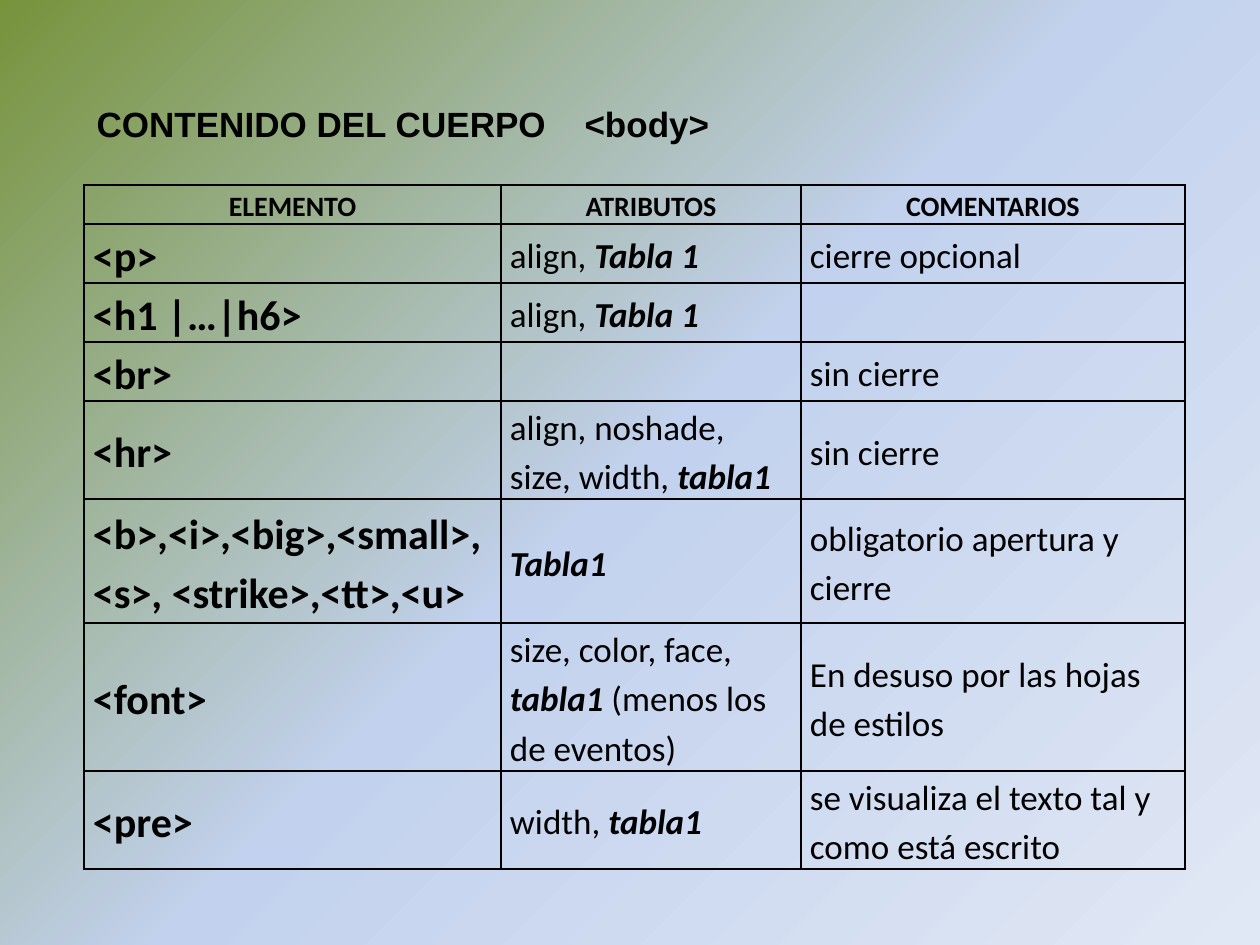
from copy import deepcopy

from lxml import etree
from pptx import Presentation
from pptx.dml.color import RGBColor
from pptx.enum.text import MSO_ANCHOR, MSO_AUTO_SIZE, PP_ALIGN
from pptx.oxml.ns import qn
from pptx.util import Emu, Pt

LEFT, CENTER = PP_ALIGN.LEFT, PP_ALIGN.CENTER
TOP, MIDDLE = MSO_ANCHOR.TOP, MSO_ANCHOR.MIDDLE
GROW = MSO_AUTO_SIZE.SHAPE_TO_FIT_TEXT
PX_PER_INCH = 126
BLACK = "000000"
STOPS = [(0, "77933C"), (0.5, "C2D1ED"), (1, "E1E8F5")]
COLUMNS = [417, 300, 384]
HEIGHTS = [39, 59, 59, 59, 98, 124, 148, 98]
ROWS = [
    ["ELEMENTO", "ATRIBUTOS", "COMENTARIOS"],
    ["<p>", "align, *Tabla 1*", "cierre opcional"],
    ["<h1 |…|h6>", "align, *Tabla 1*", ""],
    ["<br>", "", "sin cierre"],
    ["<hr>", "align, noshade, size, width, *tabla1*", "sin cierre"],
    ["<b>,<i>,<big>,<small>, <s>, <strike>,<tt>,<u>", "*Tabla1*",
     "obligatorio apertura y cierre"],
    ["<font>", "size, color, face, *tabla1* (menos los de eventos)",
     "En desuso por las hojas de estilos"],
    ["<pre>", "width, *tabla1*", "se visualiza el texto tal y como está escrito"],
]


def px(n):
    return Emu(round(n * 914400 / PX_PER_INCH))


def color(value):
    return RGBColor.from_string(value)


def apply(target, values):
    for name, value in values.items():
        setattr(target, name, value)


def format_font(font, **values):
    apply(font, values)
    font.color.rgb = color(BLACK)


def paint_background(s):
    fill = s.background.fill
    fill.gradient()
    fill.gradient_angle = 315
    gs_list = s._element.find(".//" + qn("a:gsLst"))
    gs_list.append(deepcopy(gs_list[0]))
    for stop, (position, value) in zip(fill.gradient_stops, STOPS):
        stop.position = position
        stop.color.rgb = color(value)


def add_title(s, text, left, top, width, height, tab):
    sp = s.shapes.title
    apply(sp, dict(left=px(left), top=px(top), width=px(width), height=px(height)))
    tf = sp.text_frame
    apply(tf, dict(word_wrap=True, auto_size=GROW, vertical_anchor=TOP))
    p = tf.paragraphs[0]
    p.alignment = LEFT
    tabs = etree.SubElement(p._p.get_or_add_pPr(), qn("a:tabLst"))
    etree.SubElement(tabs, qn("a:tab"), pos=str(px(tab)), algn="l")
    r = p.add_run()
    r.text = text
    format_font(r.font, name="Arial", size=Pt(20), bold=True)


def add_borders(cell):
    tc_pr = cell._tc.get_or_add_tcPr()
    for side in ("lnL", "lnR", "lnT", "lnB"):
        line = etree.SubElement(tc_pr, qn("a:" + side), w=str(Pt(1)))
        fill = etree.SubElement(line, qn("a:solidFill"))
        etree.SubElement(fill, qn("a:srgbClr"), val=BLACK)


def fill_cell(cell, text, size, bold, alignment, anchor):
    add_borders(cell)
    cell.fill.background()
    apply(cell, dict(margin_left=px(9), margin_right=px(9), margin_top=0,
                     margin_bottom=0, vertical_anchor=anchor))
    p = cell.text_frame.paragraphs[0]
    apply(p, dict(alignment=alignment, line_spacing=1.15))
    for i, part in enumerate(text.split("*")):
        if part:
            emphasis = i % 2 == 1
            r = p.add_run()
            r.text = part
            format_font(r.font, name="Calibri", size=Pt(size),
                        bold=bold or emphasis, italic=emphasis)


def add_element_table(s, left, top):
    frame = s.shapes.add_table(len(ROWS), len(COLUMNS), px(left), px(top),
                               px(sum(COLUMNS)), px(sum(HEIGHTS)))
    table = frame.table
    apply(table, dict(first_row=False, horz_banding=False))
    for column, width in zip(table.columns, COLUMNS):
        column.width = px(width)
    for i, (row, height) in enumerate(zip(table.rows, HEIGHTS)):
        row.height = px(height)
        for j, text in enumerate(ROWS[i]):
            if i == 0:
                style = (16, True, CENTER, TOP)
            elif j == 0:
                style = (24, True, LEFT, MIDDLE)
            else:
                style = (20, False, LEFT, MIDDLE)
            fill_cell(table.cell(i, j), text, *style)


def main():
    prs = Presentation()
    apply(prs, dict(slide_width=px(1260), slide_height=px(945)))
    s = prs.slides.add_slide(prs.slide_layouts[5])
    paint_background(s)
    add_element_table(s, 84, 185)
    add_title(s, "CONTENIDO DEL CUERPO\t<body>", 84, 96, 784, 55, tab=488)
    prs.save("out.pptx")


if __name__ == "__main__":
    main()
